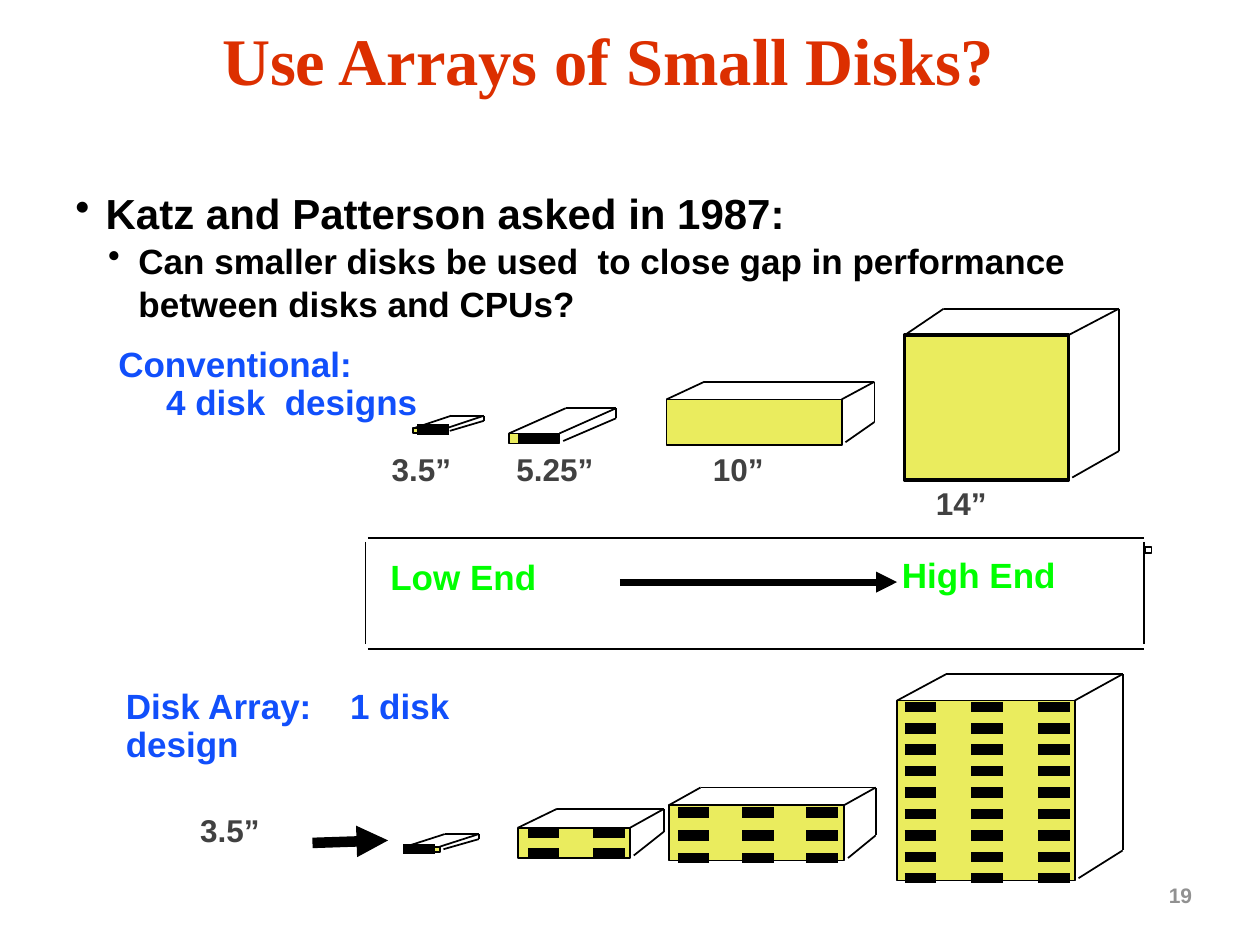
from dataclasses import dataclass

import pptx
import pptx.dml.color
import pptx.enum.shapes
import pptx.enum.text
import pptx.oxml.ns
import pptx.util
from lxml import etree

Inches, Pt = pptx.util.Inches, pptx.util.Pt
ALIGN = pptx.enum.text.PP_ALIGN


@dataclass(frozen=True)
class Theme:
    sans: str = "Arial"
    serif: str = "Times New Roman"
    red: str = "DC2F00"
    blue: str = "114FFB"
    green: str = "00FF00"
    gray: str = "414141"
    pale: str = "919191"
    black: str = "000000"
    white: str = "FFFFFF"
    yellow: str = "EAEC5E"
    title: int = 38
    head: int = 24
    body: int = 20
    label: int = 18
    page: int = 12
    thin: int = 1
    bold: int = 6


T = Theme()


def color(code):
    return pptx.dml.color.RGBColor.from_string(code)


def add_tag(parent, name, **attrs):
    return etree.SubElement(parent, pptx.oxml.ns.qn(name), attrs)


def style(para, size, tint, face=T.sans, space=0.9):
    para.line_spacing = space
    font = para.font
    font.name, font.size, font.bold = face, Pt(size), True
    font.color.rgb = color(tint)


def line(slide, start, end, width=T.thin, arrow=False):
    kind = pptx.enum.shapes.MSO_CONNECTOR.STRAIGHT
    edge = slide.shapes.add_connector(kind, *map(Inches, (*start, *end)))
    edge.line.color.rgb = color(T.black)
    edge.line.width = Pt(width)
    if arrow:
        add_tag(edge.line._get_or_add_ln(), "a:tailEnd", type="triangle")
    add_tag(edge._element.spPr, "a:effectLst")


def block(slide, box, fill, width=T.thin):
    kind = pptx.enum.shapes.MSO_SHAPE.RECTANGLE
    shape = slide.shapes.add_shape(kind, *map(Inches, box))
    shape.shadow.inherit = False
    shape.fill.solid()
    shape.fill.fore_color.rgb = color(fill)
    shape.line.color.rgb = color(T.black)
    shape.line.width = Pt(width)


def frame(slide, box):
    text = slide.shapes.add_textbox(*map(Inches, box)).text_frame
    text.word_wrap = True
    return text


def label(slide, box, words, size=T.label, tint=T.gray):
    para = frame(slide, box).paragraphs[0]
    para.text = words
    style(para, size, tint)
    return para


def indent(para, left, hang=0):
    props = para._p.get_or_add_pPr()
    props.set("marL", str(Inches(left)))
    props.set("indent", str(Inches(-hang)))
    return props


def disk(slide, box, left, right, rise, drop, width=T.thin):
    """Draw a front face and the edges behind it: left and right are the
    sideways runs of the top edges, rise and drop the lifts of the back corners."""
    x, y, wide, high = box
    block(slide, box, T.yellow, width)
    top = y - rise
    side = x + wide
    back = side + right
    low = y + high - drop
    edges = [
        ((x, y), (x + left, top)),
        ((side, y), (back, top)),
        ((side + 0.03, y + high - 0.02), (back, low)),
        ((x + left, top), (back, top)),
        ((back, top), (back, low)),
    ]
    for start, end in edges:
        line(slide, start, end)


def dash(slide, x, y, length=0.25):
    line(slide, (x, y), (x + length, y), T.bold)


def fill_up(slide, box, cols, rows, first, step):
    """Set a grid of small disks on a front face."""
    for col in range(cols):
        for row in range(rows):
            dash(slide, box[0] + first[0] + col * step[0],
                 box[1] + first[1] + row * step[1])


def heading(slide, box):
    title = slide.shapes.title
    title.left, title.top, title.width, title.height = map(Inches, box)
    text = title.text_frame
    text.text = "Use Arrays of Small Disks?"
    text.vertical_anchor = pptx.enum.text.MSO_ANCHOR.MIDDLE
    para = text.paragraphs[0]
    para.alignment = ALIGN.CENTER
    style(para, T.title, T.red, T.serif)


def question(slide, box):
    text = frame(slide, box)
    items = [
        ("Katz and Patterson asked in 1987:", T.head, 0.24),
        ("Can smaller disks be used  to close gap in performance "
         "between disks and CPUs?", T.body, 0.5),
    ]
    for rank, (words, size, left) in enumerate(items):
        para = text.add_paragraph() if rank else text.paragraphs[0]
        para.text = words
        para.level = rank
        add_tag(indent(para, left, 0.24), "a:buChar", char="•")
        style(para, size, T.black, space=1.04)


def designs(slide, box):
    x, y = box[:2]
    text = frame(slide, (x, y + 0.26, 2.91, 0.7))
    for rank, words in enumerate(["Conventional:", "4 disk  designs"]):
        para = text.add_paragraph() if rank else text.paragraphs[0]
        para.text = words
        indent(para, 0.38 * rank)
        style(para, T.body, T.blue)
    disk(slide, (x + 2.44, y + 0.95, 0.26, 0.04), 0.3, 0.3, 0.1, 0.1)
    dash(slide, x + 2.47, y + 0.96)
    disk(slide, (x + 3.2, y + 0.99, 0.4, 0.08), 0.45, 0.45, 0.2, 0.2)
    dash(slide, x + 3.27, y + 1.03, 0.32)
    disk(slide, (x + 4.45, y + 0.72, 1.39, 0.36), 0.3, 0.26, 0.14, 0.18)
    disk(slide, (x + 6.34, y + 0.21, 1.3, 1.15), 0.31, 0.4, 0.21, 0.23, 2)
    for words, left, top, wide in [("3.5”", 2.17, 1.11, 1.37),
                                   ("5.25”", 3.16, 1.11, 1.37),
                                   ("10”", 4.72, 1.11, 0.98),
                                   ("14”", 6.49, 1.38, 0.91)]:
        label(slide, (x + left, y + top, wide, 0.37), words)


def scale(slide, box):
    x, y, wide, high = box
    side, low = x + wide, y + high
    for level in (y, low):
        line(slide, (x + 0.02, level), (side, level))
    for edge in (x, side):
        line(slide, (edge, y + 0.03), (edge, low - 0.04))
    block(slide, (side + 0.01, y + 0.07, 0.05, 0.05), T.white)
    label(slide, (x + 0.1, y + 0.13, 1.93, 0.4), "Low End", T.body, T.green)
    label(slide, (x + 4.16, y + 0.11, 1.93, 0.4), "High End", T.body, T.green)
    line(slide, (x + 2.02, y + 0.35), (x + 4.22, y + 0.35), 4, True)


def arrays(slide, box):
    x, y = box[:2]
    para = label(slide, (x, y + 0.07, 2.89, 0.7),
                 "Disk Array:\t1 disk design", T.body, T.blue)
    tabs = etree.Element(pptx.oxml.ns.qn("a:tabLst"))
    add_tag(tabs, "a:tab", pos=str(Inches(1.78)), algn="l")
    para._p.pPr.find(pptx.oxml.ns.qn("a:defRPr")).addprevious(tabs)
    label(slide, (x + 0.59, y + 1.07, 1.37, 0.37), "3.5”")
    line(slide, (x + 1.58, y + 1.34), (x + 2.18, y + 1.32), T.bold, True)
    disk(slide, (x + 2.32, y + 1.37, 0.27, 0.04), 0.31, 0.31, 0.1, 0.1)
    dash(slide, x + 2.3, y + 1.39)

    small = (x + 3.21, y + 1.22, 0.89, 0.24)
    disk(slide, small, 0.31, 0.27, 0.15, 0.21)
    fill_up(slide, small, 2, 2, (0.08, 0.04), (0.52, 0.16))
    middle = (x + 4.41, y + 1.04, 1.39, 0.44)
    disk(slide, middle, 0.25, 0.25, 0.14, 0.2)
    fill_up(slide, middle, 3, 3, (0.07, 0.06), (0.51, 0.18))
    large = (x + 6.22, y + 0.21, 1.41, 1.43)
    disk(slide, large, 0.39, 0.38, 0.21, 0.24)
    fill_up(slide, large, 3, 9, (0.06, 0.05), (0.53, 0.17))


def main():
    deck = pptx.Presentation()
    deck.slide_width, deck.slide_height = Inches(10), Inches(7.5)
    slide = deck.slides.add_slide(deck.slide_layouts[5])
    heading(slide, (0.92, 0, 7.82, 1.01))
    question(slide, (0.5, 1.42, 8.92, 1.17))
    designs(slide, (0.84, 2.45, 8.08, 1.75))
    scale(slide, (2.9, 4.27, 6.18, 0.88))
    arrays(slide, (0.9, 5.35, 8.01, 1.65))
    page = label(slide, (9.1, 6.98, 0.46, 0.3), "19", T.page, T.pale)
    page.alignment = ALIGN.RIGHT
    deck.save("out.pptx")


if __name__ == "__main__":
    main()
